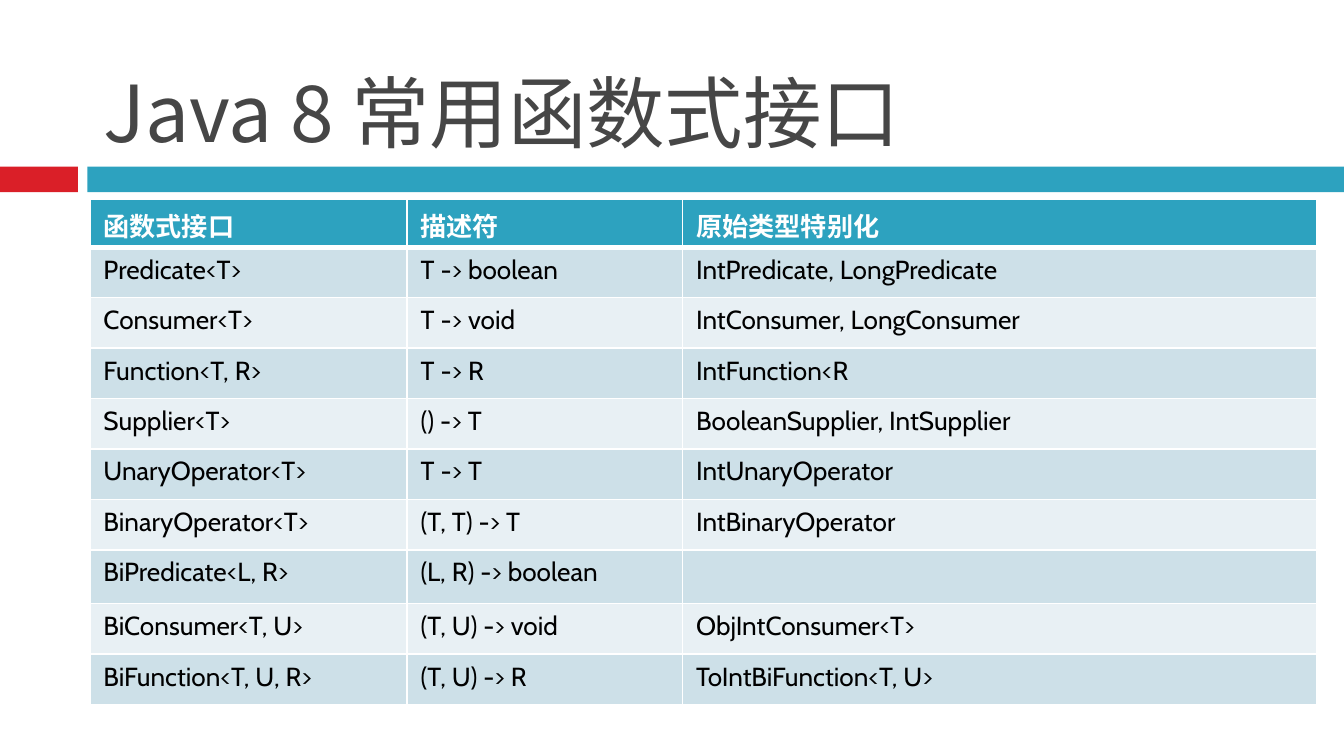
import pptx
import pptx.dml.color
import pptx.enum.shapes
import pptx.enum.text
import pptx.oxml
import pptx.oxml.ns
import pptx.util

# Content
TITLE = "Java 8 常用函数式接口"
HEADER = ("函数式接口", "描述符", "原始类型特别化")
INTERFACES = [
    ("Predicate<T>", "T -> boolean", "IntPredicate, LongPredicate"),
    ("Consumer<T>", "T -> void", "IntConsumer, LongConsumer"),
    ("Function<T, R>", "T -> R", "IntFunction<R"),
    ("Supplier<T>", "() -> T", "BooleanSupplier, IntSupplier"),
    ("UnaryOperator<T>", "T -> T", "IntUnaryOperator"),
    ("BinaryOperator<T>", "(T, T) -> T", "IntBinaryOperator"),
    ("BiPredicate<L, R>", "(L, R) -> boolean", ""),
    ("BiConsumer<T, U>", "(T, U) -> void", "ObjIntConsumer<T>"),
    ("BiFunction<T, U, R>", "(T, U) -> R", "ToIntBiFunction<T, U>"),
]

THEME = {
    "accent": "2DA2BF", "marker": "DA1F28", "title": "464646",
    "text": "000000", "light": "FFFFFF", "bands": ("CDE0E8", "E8F0F4"),
    "latin": "Cabin", "chinese": "Noto Sans CJK SC",
    "title_size": 42, "table_size": 14,
}

# Layout in inches, on a 16:9 slide
WIDTH = 10
HEIGHT = WIDTH * 9 / 16
BAR_TOP, BAR_HEIGHT = 1.24, 0.19
MARKER_WIDTH, BAR_LEFT = 0.58, 0.65
LEFT, TABLE_TOP = 0.67, 1.48
COLUMNS = (2.36, 2.05, 4.72)
TABLE_HEIGHT, HEADER_HEIGHT = 3.74, 0.36
ROW_HEIGHT = (TABLE_HEIGHT - HEADER_HEIGHT) / len(INTERFACES)

inches = pptx.util.Inches


def colour(name):
    return pptx.dml.color.RGBColor.from_string(name)


def write(frame, text, *, size, color, font, bold=False):
    """Put one formatted line into a text frame."""
    span = frame.paragraphs[0].add_run()
    span.text = text
    span.font.size = pptx.util.Pt(size)
    span.font.bold = bold
    span.font.name = font
    span.font.color.rgb = colour(color)
    east_asian = pptx.oxml.parse_xml(
        f'<a:ea {pptx.oxml.ns.nsdecls("a")} typeface="{THEME["chinese"]}"/>')
    span.font._element.find(pptx.oxml.ns.qn("a:latin")).addnext(east_asian)


def add_bar(page, left, width, fill):
    bar = page.shapes.add_shape(
        pptx.enum.shapes.MSO_SHAPE.RECTANGLE,
        inches(left), inches(BAR_TOP), inches(width), inches(BAR_HEIGHT))
    bar.shadow.inherit = False
    bar.fill.solid()
    bar.fill.fore_color.rgb = colour(fill)
    bar.line.fill.background()


def set_borders(cell, bottom=1, top=1):
    """Draw white borders, with widths in points; they precede the fill."""
    widths = {"lnL": 1, "lnR": 1, "lnT": top, "lnB": bottom}
    properties = cell._tc.get_or_add_tcPr()
    for position, (side, width) in enumerate(widths.items()):
        properties.insert(position, pptx.oxml.parse_xml(
            f'<a:{side} {pptx.oxml.ns.nsdecls("a")} w="{pptx.util.Pt(width)}">'
            f'<a:solidFill><a:srgbClr val="{THEME["light"]}"/></a:solidFill>'
            f'</a:{side}>'))


def add_title(page):
    box = page.shapes.add_textbox(
        inches(LEFT), inches(0.13), inches(8.92), inches(1.1))
    box.text_frame.word_wrap = True
    box.text_frame.vertical_anchor = pptx.enum.text.MSO_ANCHOR.BOTTOM
    write(box.text_frame, TITLE, size=THEME["title_size"],
          color=THEME["title"], font=THEME["chinese"])


def add_interface_table(page):
    rows = [HEADER, *INTERFACES]
    table = page.shapes.add_table(
        len(rows), len(COLUMNS), inches(LEFT), inches(TABLE_TOP),
        inches(sum(COLUMNS)), inches(TABLE_HEIGHT)).table
    for column, width in zip(table.columns, COLUMNS):
        column.width = inches(width)
    for r, texts in enumerate(rows):
        is_header = r == 0
        table.rows[r].height = inches(HEADER_HEIGHT if is_header else ROW_HEIGHT)
        fill = THEME["accent"] if is_header else THEME["bands"][(r - 1) % 2]
        for c, text in enumerate(texts):
            cell = table.cell(r, c)
            cell.fill.solid()
            cell.fill.fore_color.rgb = colour(fill)
            set_borders(cell, bottom=3 if is_header else 1,
                        top=3 if r == 1 else 1)
            if text:
                write(cell.text_frame, text, size=THEME["table_size"],
                      color=THEME["light" if is_header else "text"],
                      font=THEME["latin"], bold=is_header)


def main():
    deck = pptx.Presentation()
    deck.slide_width, deck.slide_height = inches(WIDTH), inches(HEIGHT)
    page = deck.slides.add_slide(deck.slide_layouts[6])
    # Divider under the title
    add_bar(page, 0, MARKER_WIDTH, THEME["marker"])
    add_bar(page, BAR_LEFT, WIDTH - BAR_LEFT, THEME["accent"])
    # Title and table
    add_title(page)
    add_interface_table(page)
    deck.save("out.pptx")


if __name__ == "__main__":
    main()
